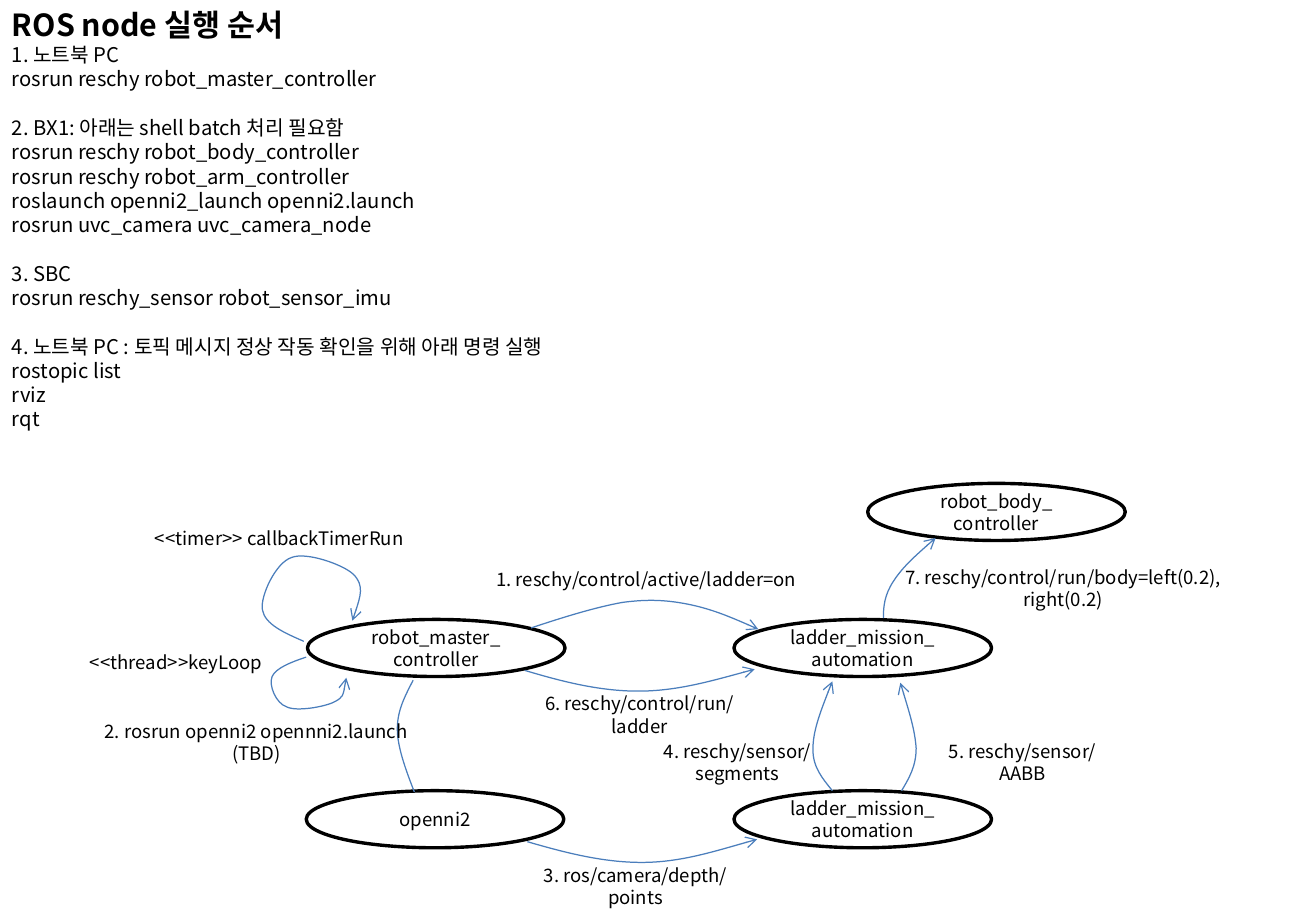
from typing import NamedTuple

from lxml import etree
from pptx import Presentation
from pptx.dml.color import RGBColor
from pptx.enum.shapes import MSO_SHAPE
from pptx.enum.text import MSO_ANCHOR, PP_ALIGN
from pptx.oxml.ns import qn
from pptx.shapes.autoshape import Shape
from pptx.slide import Slide
from pptx.text.text import TextFrame
from pptx.util import Inches, Pt

ELLIPSE = MSO_SHAPE.OVAL
MIDDLE, TOP = MSO_ANCHOR.MIDDLE, MSO_ANCHOR.TOP
CENTER, LEFT = PP_ALIGN.CENTER, PP_ALIGN.LEFT
BLACK = RGBColor(0x00, 0x00, 0x00)
BLUE = RGBColor(0x4B, 0x7E, 0xBC)
FONT = "Noto Sans CJK KR"
NODE_WIDTH, NODE_HEIGHT = 2.12, 0.47
LABEL_LINE_HEIGHT, LABEL_MARGINS = 0.18, 0.11
LINE_RATIO = 1.2
HANGING_INDENT = Inches(0.38)

Point = tuple[float, float]


class Node(NamedTuple):
    left: float
    top: float
    lines: list[str]


class Label(NamedTuple):
    left: float
    top: float
    width: float
    lines: list[str]


class Curve(NamedTuple):
    """A start point, then two control points and an end point per segment."""
    start: Point
    points: list[Point]
    arrow: bool = True


TITLE = "ROS node 실행 순서"
STEPS = [
    ["1. 노트북 PC", "rosrun reschy robot_master_controller"],
    ["2. BX1: 아래는 shell batch 처리 필요함",
     "rosrun reschy robot_body_controller",
     "rosrun reschy robot_arm_controller",
     "roslaunch openni2_launch openni2.launch",
     "rosrun uvc_camera uvc_camera_node"],
    ["3. SBC", "rosrun reschy_sensor robot_sensor_imu"],
    ["4. 노트북 PC : 토픽 메시지 정상 작동 확인을 위해 아래 명령 실행",
     "rostopic list", "rviz", "rqt"],
]
NODES = [
    Node(2.53, 5.1, ["robot_master_", "controller"]),
    Node(6.04, 5.1, ["ladder_mission_", "automation"]),
    Node(6.04, 6.51, ["ladder_mission_", "automation"]),
    Node(2.52, 6.51, ["openni2"]),
    Node(7.14, 3.98, ["robot_body_", "controller"]),
]
LABELS = [
    Label(3.98, 4.63, 2.68, ["1. reschy/control/active/ladder=on"]),
    Label(0.57, 5.88, 3.08, ["2. rosrun openni2 opennni2.launch", "(TBD)"]),
    Label(4.17, 7.06, 2.12, ["3. ros/camera/depth/", "points"]),
    Label(5.04, 6.04, 2.06, ["4. reschy/sensor/", "segments"]),
    Label(7.53, 6.04, 1.77, ["5. reschy/sensor/", "AABB"]),
    Label(4.18, 5.65, 2.17, ["6. reschy/control/run/", "ladder"]),
    Label(7.29, 4.61, 2.92, ["7. reschy/control/run/body=left(0.2),", "right(0.2)"]),
    Label(0.61, 5.31, 1.68, ["<<thread>>keyLoop"]),
    Label(1.16, 4.29, 2.28, ["<<timer>> callbackTimerRun"]),
]
CURVES = [
    Curve((4.37, 5.17), [(4.64, 5.08), (4.9, 5), (5.12, 4.96),
                         (5.34, 4.93), (5.5, 4.94), (5.69, 4.98),
                         (5.87, 5.02), (6.06, 5.1), (6.24, 5.18)]),
    Curve((4.32, 5.52), [(4.62, 5.61), (4.93, 5.69), (5.25, 5.69),
                         (5.56, 5.69), (5.88, 5.6), (6.21, 5.51)]),
    Curve((4.34, 6.93), [(4.65, 7.02), (4.96, 7.1), (5.28, 7.1),
                         (5.59, 7.1), (5.91, 7), (6.23, 6.91)]),
    Curve((3.4, 5.6), [(3.34, 5.72), (3.27, 5.84), (3.27, 6),
                       (3.27, 6.15), (3.34, 6.34), (3.41, 6.52)], arrow=False),
    Curve((6.85, 6.51), [(6.77, 6.41), (6.69, 6.32), (6.69, 6.17),
                         (6.69, 6.02), (6.77, 5.81), (6.85, 5.61)]),
    Curve((7.42, 6.51), [(7.48, 6.41), (7.54, 6.31), (7.54, 6.16),
                         (7.53, 6.01), (7.47, 5.82), (7.41, 5.62)]),
    Curve((7.27, 5.09), [(7.27, 4.99), (7.28, 4.9), (7.35, 4.79),
                         (7.42, 4.68), (7.56, 4.55), (7.7, 4.43)]),
    Curve((2.5, 5.28), [(2.34, 5.21), (2.18, 5.14), (2.16, 5.02),
                        (2.14, 4.91), (2.27, 4.63), (2.4, 4.59),
                        (2.52, 4.54), (2.83, 4.65), (2.91, 4.73),
                        (3, 4.82), (2.95, 4.97), (2.9, 5.11)]),
    Curve((2.52, 5.41), [(2.4, 5.45), (2.27, 5.5), (2.24, 5.57),
                         (2.21, 5.64), (2.27, 5.79), (2.36, 5.82),
                         (2.44, 5.86), (2.67, 5.82), (2.75, 5.78),
                         (2.83, 5.74), (2.84, 5.66), (2.85, 5.58)]),
]


def add_line(frame: TextFrame, text: str, size: float, align: PP_ALIGN,
             bold: bool = False, gap: float = 0, hanging: bool = False) -> None:
    """Append a paragraph, filling the frame's first one if it is empty."""
    first = frame.paragraphs[0]
    paragraph = frame.add_paragraph() if first.runs else first
    for name, value in {"alignment": align, "space_before": Pt(gap)}.items():
        setattr(paragraph, name, value)
    if hanging:
        properties = paragraph._p.get_or_add_pPr()
        properties.set("marL", str(HANGING_INDENT))
        properties.set("indent", str(-HANGING_INDENT))
    run = paragraph.add_run()
    run.text = text
    for name, value in {"name": FONT, "size": Pt(size), "bold": bold}.items():
        setattr(run.font, name, value)
    run.font.color.rgb = BLACK
    east_asian = etree.SubElement(run.font._element, qn("a:ea"))
    east_asian.set("typeface", FONT)


def style_outline(shape: Shape, color: RGBColor, width: float) -> None:
    shape.shadow.inherit = False
    shape.fill.background()
    shape.line.color.rgb = color
    shape.line.width = Pt(width)


def add_text_frame(slide: Slide, left: float, top: float, width: float,
                   height: float, wrap: bool) -> TextFrame:
    box = slide.shapes.add_textbox(*map(Inches, (left, top, width, height)))
    for name, value in {"word_wrap": wrap, "vertical_anchor": TOP}.items():
        setattr(box.text_frame, name, value)
    return box.text_frame


def add_steps(slide: Slide) -> None:
    frame = add_text_frame(slide, 0, 0, 10.83, 3.64, wrap=True)
    add_line(frame, TITLE, 18, LEFT, bold=True)
    for step_index, step in enumerate(STEPS):
        for line_index, text in enumerate(step):
            starts_block = step_index > 0 and line_index == 0
            gap = 12 * LINE_RATIO if starts_block else 0
            add_line(frame, text, 12, LEFT, gap=gap, hanging=True)


def add_node(slide: Slide, node: Node) -> None:
    shape = slide.shapes.add_shape(
        ELLIPSE, *map(Inches, (node.left, node.top, NODE_WIDTH, NODE_HEIGHT)))
    style_outline(shape, BLACK, 2)
    shape.text_frame.vertical_anchor = MIDDLE
    for text in node.lines:
        add_line(shape.text_frame, text, 11, CENTER)


def add_label(slide: Slide, label: Label) -> None:
    height = LABEL_MARGINS + LABEL_LINE_HEIGHT * len(label.lines)
    frame = add_text_frame(slide, label.left, label.top, label.width, height,
                           wrap=False)
    for text in label.lines:
        add_line(frame, text, 11, CENTER)


def add_curve(slide: Slide, curve: Curve) -> None:
    """Draw a freeform whose points are grouped into cubic Bézier segments."""
    builder = slide.shapes.build_freeform(*map(Inches, curve.start))
    builder.add_line_segments(
        [(Inches(x), Inches(y)) for x, y in curve.points], close=False)
    shape = builder.convert_to_shape()
    outline = next(shape._element.iter(qn("a:path")))
    segments = outline.findall(qn("a:lnTo"))
    for index in range(0, len(segments), 3):
        cubic = etree.SubElement(outline, qn("a:cubicBezTo"))
        for segment in segments[index:index + 3]:
            cubic.append(segment[0])
            outline.remove(segment)
    style_outline(shape, BLUE, 0.75)
    if curve.arrow:
        line = shape.line._get_or_add_ln()
        etree.SubElement(line, qn("a:tailEnd")).set("type", "arrow")


def main() -> None:
    presentation = Presentation()
    presentation.slide_width = Inches(10.83)
    presentation.slide_height = Inches(7.5)
    slide = presentation.slides.add_slide(presentation.slide_layouts[6])
    add_steps(slide)
    for node in NODES:
        add_node(slide, node)
    for curve in CURVES:
        add_curve(slide, curve)
    for label in LABELS:
        add_label(slide, label)
    presentation.save("out.pptx")


if __name__ == "__main__":
    main()
